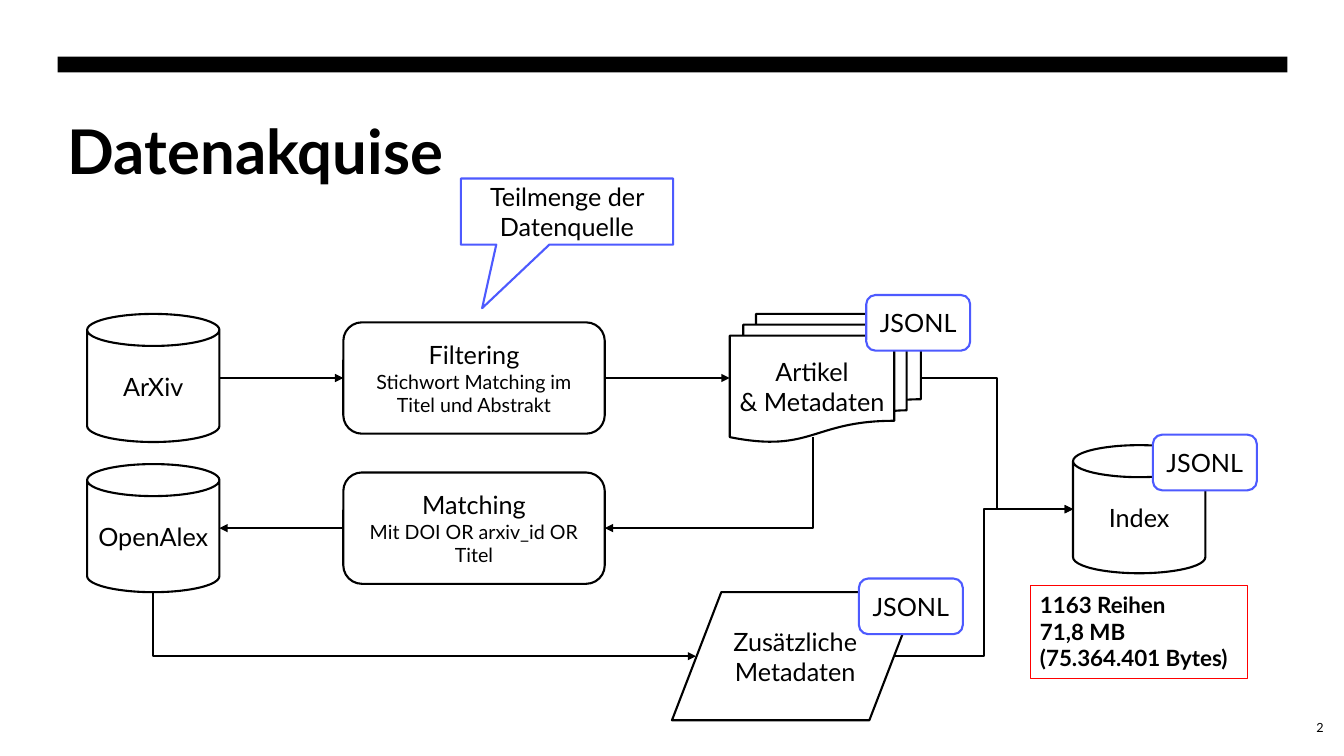
from pptx import Presentation
from pptx.dml.color import RGBColor
from pptx.enum.shapes import MSO_CONNECTOR as LINE, MSO_SHAPE as FORM
from pptx.enum.text import MSO_ANCHOR, PP_ALIGN
from pptx.oxml.ns import qn
from pptx.util import Pt
from lxml.etree import SubElement

PX = 9525
HEX = {"ink": "000000", "paper": "FFFFFF", "tag": "4D5AFF", "info": "FF0000"}
COL = {name: RGBColor.from_string(code) for name, code in HEX.items()}


def add_box(form, at, lines, sizes=(18,), edge="ink", fill="paper"):
    """Add an outlined shape; the last size holds for all further lines."""
    box = slide.shapes.add_shape(form, *[n * PX for n in at])
    box.shadow.inherit = False
    if fill:
        box.fill.solid()
        box.fill.fore_color.rgb = COL[fill]
    else:
        box.fill.background()
    box.line.color.rgb = COL[edge]
    box.line.width = Pt(1.5)
    frame = box.text_frame
    frame.word_wrap = True
    frame.vertical_anchor = MSO_ANCHOR.MIDDLE
    frame.text = lines
    for i, par in enumerate(frame.paragraphs):
        par.alignment = PP_ALIGN.CENTER
        par.font.name = "Lato"
        par.font.size = Pt(sizes[min(i, len(sizes) - 1)])
        par.font.color.rgb = COL["ink"]
    return box


def add_line(kind, start, end, tip="tailEnd"):
    """Add a black line with an arrowhead at the given tip."""
    line = slide.shapes.add_connector(kind, *[n * PX for n in start + end])
    line.line.color.rgb = COL["ink"]
    line.line.width = Pt(1.5)
    props = line._element.spPr
    SubElement(props.find(qn("a:ln")), qn("a:" + tip), type="triangle")
    SubElement(props, qn("a:effectLst"))
    return line


deck = Presentation()
deck.slide_width, deck.slide_height = 1280 * PX, 720 * PX
slide = deck.slides.add_slide(deck.slide_layouts[5])

# Title and bar
title = slide.shapes.title
title.left, title.top, title.width, title.height = [n * PX for n in (55, 103, 1171, 90)]
title.text_frame.text = "Datenakquise"
title.text_frame.vertical_anchor = MSO_ANCHOR.TOP
head = title.text_frame.paragraphs[0]
head.alignment = PP_ALIGN.LEFT
head.font.name, head.font.size, head.font.bold = "Lato", Pt(44), True
head.font.color.rgb = COL["ink"]
bar = add_box(FORM.RECTANGLE, (55, 54, 1171, 15), "", fill="ink")
bar.line.fill.background()

# Sources and steps, one pair a row
ROW = 143
mid = [360, 360 + ROW]
steps = []
for i, (source, step) in enumerate([
    ("ArXiv", "Filtering\nStichwort Matching im Titel und Abstrakt"),
    ("OpenAlex", "Matching\nMit DOI OR arxiv_id OR Titel"),
]):
    add_box(FORM.CAN, (83, mid[i] - 61, 126, 122), source)
    steps.append(add_box(FORM.ROUNDED_RECTANGLE, (327, mid[i] - 53, 249, 106), step, (18, 14)))
filt, match = steps

# Results; the narrow side margins keep "& Metadaten" on one line
docs = add_box(FORM.FLOWCHART_MULTIDOCUMENT, (695, 299, 182, 122), "Artikel\n& Metadaten")
docs.text_frame.margin_left = docs.text_frame.margin_right = 4 * PX
add_box(FORM.FLOWCHART_DATA, (640, 564, 235, 122), "Zusätzliche Metadaten")
add_box(FORM.CAN, (1022, 424, 126, 122), "Index")

# Straight arrows
add_line(LINE.STRAIGHT, (209, mid[0]), (327, mid[0])).end_connect(filt, 1)
add_line(LINE.STRAIGHT, (576, mid[0]), (695, mid[0])).begin_connect(filt, 3)
add_line(LINE.STRAIGHT, (327, mid[1]), (209, mid[1])).begin_connect(match, 1)

# Arrows with one bend, drawn from the tip back to the source
for tip, source in [((576, mid[1]), (774, 416)), ((663, 625), (146, 564))]:
    bend = add_line(LINE.ELBOW, tip, source, "headEnd")
    bend._element.spPr.find(qn("a:prstGeom")).set("prst", "bentConnector2")

# Arrows with two bends into the index
for source in [(877, mid[0]), (852, 625)]:
    add_line(LINE.ELBOW, source, (1022, 485))

# File format tags
for left, top in [(825, 281), (818, 551), (1098, 414)]:
    add_box(FORM.ROUNDED_RECTANGLE, (left, top, 99, 53), "JSONL", edge="tag")

# Notes beside the flow
note = add_box(FORM.RECTANGULAR_CALLOUT, (439, 170, 202, 63), "Teilmenge der Datenquelle", edge="tag")
note.adjustments[0], note.adjustments[1] = -0.4, 1.46
info = add_box(FORM.RECTANGLE, (981, 558, 207, 88),
               "1163 Reihen\n71,8 MB\n(75.364.401 Bytes)", (16,), "info", None)
info.line.width = Pt(0.75)
info.text_frame.vertical_anchor = MSO_ANCHOR.TOP
for par in info.text_frame.paragraphs:
    par.alignment = PP_ALIGN.LEFT
    par.font.bold = True

# Slide number
page = slide.shapes.add_textbox(*[n * PX for n in (1203, 674, 67, 38)]).text_frame
page.word_wrap = True
page.vertical_anchor = MSO_ANCHOR.MIDDLE
page.text = "2"
num = page.paragraphs[0]
num.alignment = PP_ALIGN.RIGHT
num.font.name, num.font.size = "Lato", Pt(9)
num.font.color.rgb = COL["ink"]

deck.save("out.pptx")
